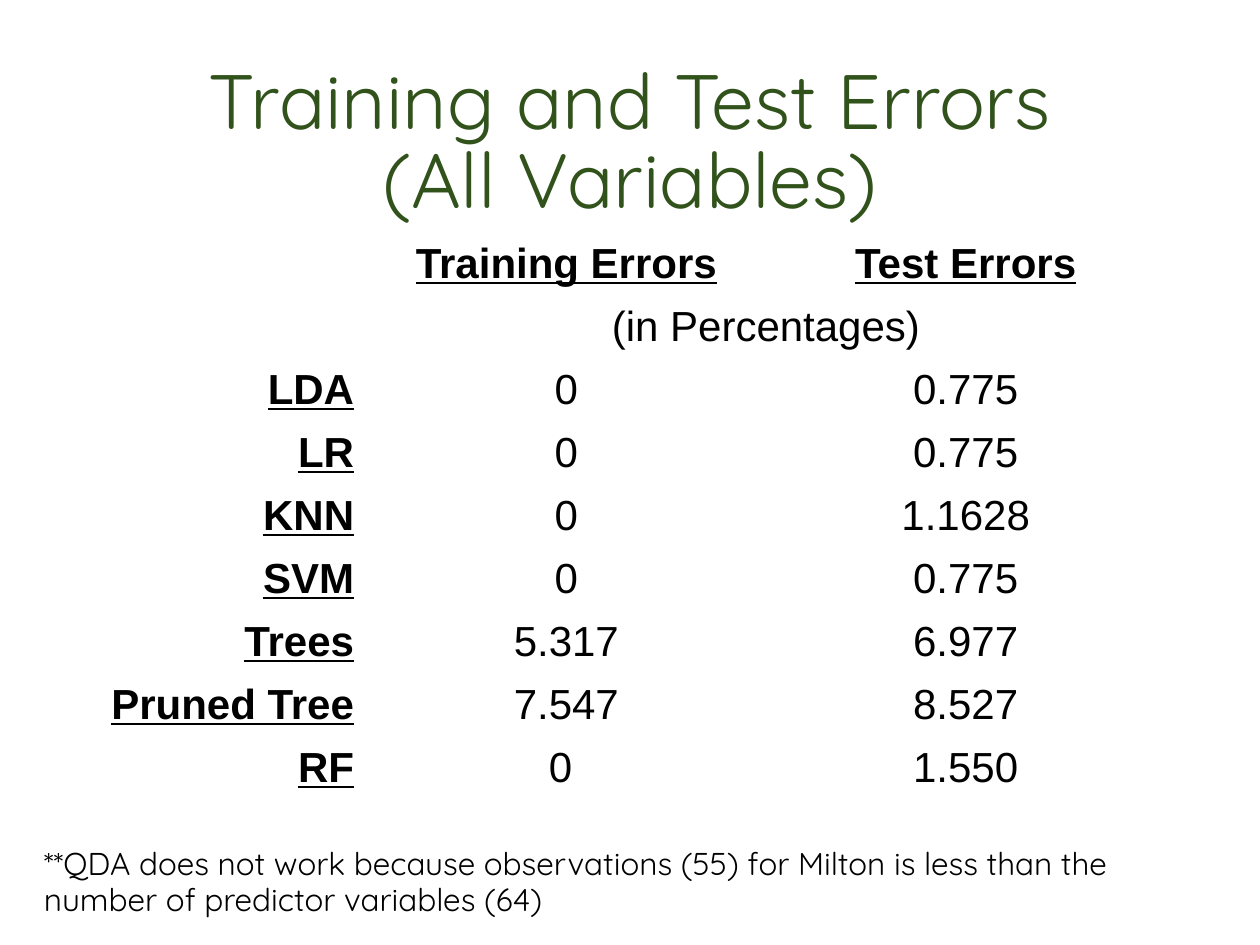
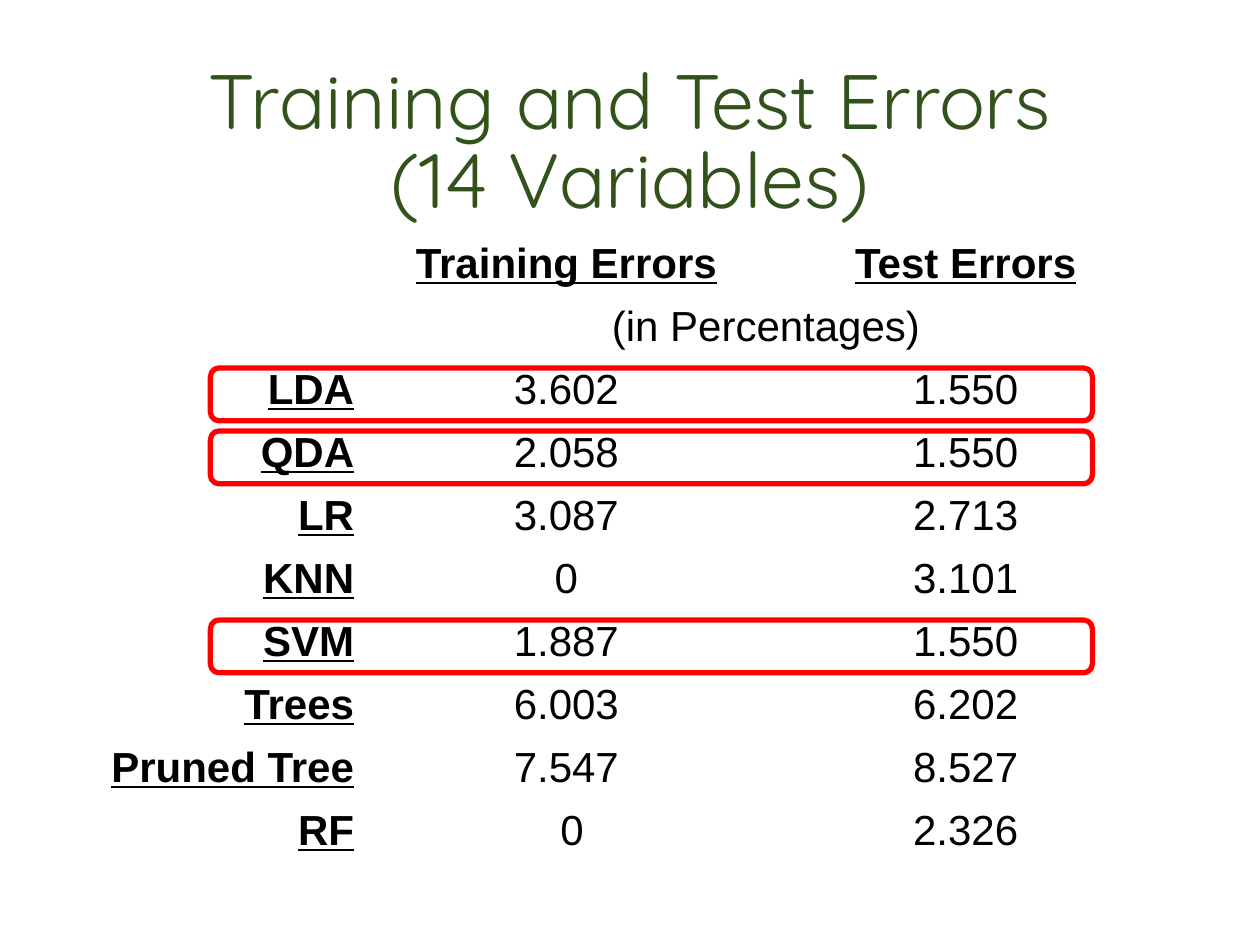
import pptx
import pptx.util
import pptx.dml.color
import pptx.enum.shapes
import pptx.enum.text

Inches = pptx.util.Inches
Pt = pptx.util.Pt
ALIGN = pptx.enum.text.PP_ALIGN

GREEN = pptx.dml.color.RGBColor(0x31, 0x52, 0x1B)
BLACK = pptx.dml.color.RGBColor(0x00, 0x00, 0x00)
RED = pptx.dml.color.RGBColor(0xFF, 0x00, 0x00)
TITLE_FONT = "Quicksand"
TABLE_FONT = "Arial"

TITLE_BOX = (0.69, 0.4, 8.62, 1.45)
TABLE_ORIGIN = (0.61, 1.86)
FOOTNOTE_BOX = (0.25, 6.67, 9.5, 0.68)
COLUMN_WIDTHS = (2.3, 3.17, 3.17)
ROW_HEIGHT = 0.5
HEADER_ROWS = 2

ALL_VARIABLES = [
    ("LDA", "0", "0.775"),
    ("LR", "0", "0.775"),
    ("KNN", "0", "1.1628"),
    ("SVM", "0", "0.775"),
    ("Trees", "5.317", "6.977"),
    ("Pruned Tree", "7.547", "8.527"),
    ("RF", "0 ", "1.550"),
]
FOURTEEN_VARIABLES = [
    ("LDA", "3.602", "1.550"),
    ("QDA", "2.058", "1.550"),
    ("LR", "3.087", "2.713"),
    ("KNN", "0", "3.101"),
    ("SVM", "1.887", "1.550"),
    ("Trees", "6.003", "6.202"),
    ("Pruned Tree", "7.547", "8.527"),
    ("RF", " 0", "2.326"),
]
BEST_METHODS = ("LDA", "QDA", "SVM")
FOOTNOTE = [
    "**QDA does not work because observations (55) for Milton is less than the",
    "number of predictor variables (64)",
]


def style(paragraph, font_name, size, color, align=ALIGN.LEFT, heading=False):
    paragraph.alignment = align
    font = paragraph.font
    font.name = font_name
    font.size = Pt(size)
    font.color.rgb = color
    font.bold = heading
    font.underline = heading


def set_title(slide, variables, box):
    title = slide.shapes.title
    title.left, title.top, title.width, title.height = map(Inches, box)
    frame = title.text_frame
    frame.text = f"Training and Test Errors\v({variables})"
    frame.auto_size = pptx.enum.text.MSO_AUTO_SIZE.NONE
    frame.vertical_anchor = pptx.enum.text.MSO_ANCHOR.BOTTOM
    frame.margin_left = frame.margin_right = Inches(0.13)
    frame.margin_top = frame.margin_bottom = Inches(0.07)
    heading = frame.paragraphs[0]
    heading.line_spacing = 0.85
    style(heading, TITLE_FONT, 44, GREEN, ALIGN.CENTER)


def fill_cell(cell, text, align=ALIGN.CENTER, heading=False):
    cell.text = text
    style(cell.text_frame.paragraphs[0], TABLE_FONT, 24, BLACK, align, heading)


def add_error_table(slide, errors, origin):
    left, top = origin
    row_count = HEADER_ROWS + len(errors)
    table = slide.shapes.add_table(
        row_count, len(COLUMN_WIDTHS), Inches(left), Inches(top),
        Inches(sum(COLUMN_WIDTHS)), Inches(row_count * ROW_HEIGHT)).table
    table.first_row = table.horz_banding = False
    for column, width in zip(table.columns, COLUMN_WIDTHS):
        column.width = Inches(width)
    for row in table.rows:
        row.height = Inches(ROW_HEIGHT)
    for cell in table.iter_cells():
        cell.fill.background()

    table.cell(0, 0).merge(table.cell(1, 0))
    table.cell(1, 1).merge(table.cell(1, 2))
    fill_cell(table.cell(0, 1), "Training Errors", heading=True)
    fill_cell(table.cell(0, 2), "Test Errors", heading=True)
    fill_cell(table.cell(1, 1), "(in Percentages)")
    for row, (method, training, test) in enumerate(errors, HEADER_ROWS):
        fill_cell(table.cell(row, 0), method, ALIGN.RIGHT, heading=True)
        fill_cell(table.cell(row, 1), training)
        fill_cell(table.cell(row, 2), test)


def highlight_methods(slide, errors, methods, origin):
    left, top = origin
    for row, (method, *_) in enumerate(errors, HEADER_ROWS):
        if method not in methods:
            continue
        outline = slide.shapes.add_shape(
            pptx.enum.shapes.MSO_SHAPE.ROUNDED_RECTANGLE,
            Inches(left + 1.06), Inches(top + row * ROW_HEIGHT + 0.06),
            Inches(7), Inches(0.42))
        outline.shadow.inherit = False
        outline.fill.background()
        outline.line.color.rgb = RED
        outline.line.width = Pt(3)


def add_footnote(slide, lines, box):
    frame = slide.shapes.add_textbox(*map(Inches, box)).text_frame
    frame.word_wrap = True
    frame.text = "\n".join(lines)
    for paragraph in frame.paragraphs:
        paragraph.line_spacing = 0.95
        style(paragraph, TITLE_FONT, 18, BLACK)


def add_error_slide(deck, variables, errors):
    slide = deck.slides.add_slide(deck.slide_layouts[5])
    set_title(slide, variables, TITLE_BOX)
    add_error_table(slide, errors, TABLE_ORIGIN)
    return slide


def main():
    deck = pptx.Presentation()
    deck.slide_width = Inches(10)
    deck.slide_height = Inches(7.5)

    all_slide = add_error_slide(deck, "All Variables", ALL_VARIABLES)
    add_footnote(all_slide, FOOTNOTE, FOOTNOTE_BOX)

    fourteen_slide = add_error_slide(deck, "14 Variables", FOURTEEN_VARIABLES)
    highlight_methods(fourteen_slide, FOURTEEN_VARIABLES, BEST_METHODS, TABLE_ORIGIN)

    deck.save("out.pptx")


if __name__ == "__main__":
    main()
